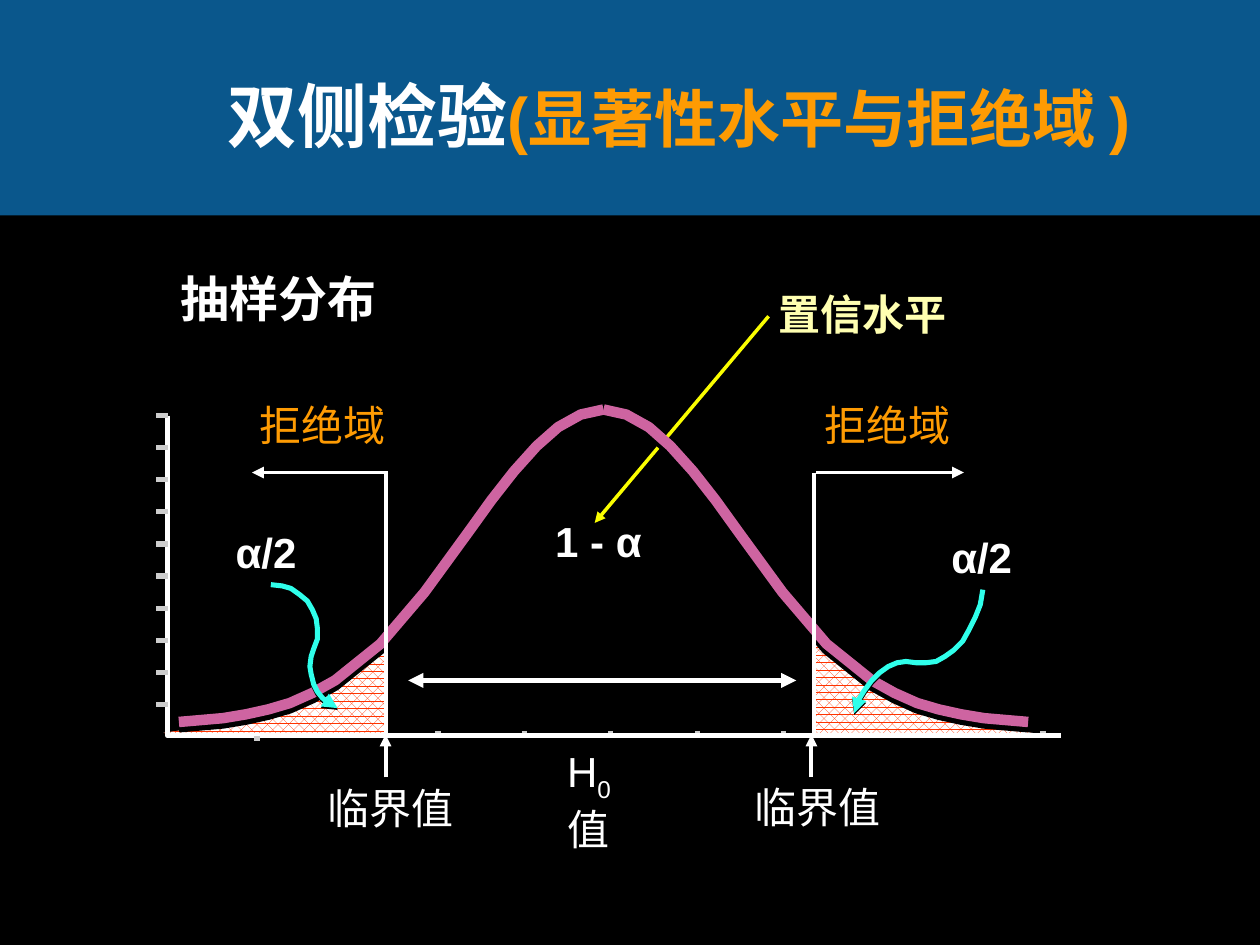
from lxml.etree import SubElement
from pptx import Presentation
from pptx.dml.color import RGBColor
from pptx.enum.dml import MSO_PATTERN as Pattern
from pptx.enum.shapes import MSO_CONNECTOR as Connector, MSO_SHAPE as Shape
from pptx.enum.text import MSO_ANCHOR as Anchor, PP_ALIGN as Align
from pptx.oxml.ns import qn
from pptx.util import Inches, Pt

THEME = {
    "banner": "0A578C", "panel": "000000", "white": "FFFFFF", "orange": "FE9B03",
    "cream": "FFFFB1", "yellow": "FAFD00", "tick": "CDCDCD", "curve": "CE64A1",
    "pointer": "2FFFEB", "hatch": "FF3300",
    "font": "Arial", "title_font": "Vollkorn",
    "title": 40, "subtitle": 36, "heading": 28, "label": 24,
    "thin": 2, "rule": 2.25, "axis": 2.88, "bell": 6,
}

TITLE = [("双侧检验", "title", "white", "title_font"),
         ("(显著性水平与拒绝域 )", "subtitle", "orange", "font")]

LABELS = [
    ("临界值", 5.99, 6.2, 1, "white", False),
    ("临界值", 2.6, 6.21, 1, "white", False),
    ("α/2", 7.55, 4.22, 0.58, "white", True),
    ("α/2", 1.87, 4.18, 0.58, "white", True),
    ("拒绝域", 2.06, 3.17, 1, "orange", False),
    ("拒绝域", 6.54, 3.17, 1, "orange", False),
]
CAPTIONS = [
    ("抽样分布", 0.75, 2.08, 2.92, 0.56, "heading", "white", Align.CENTER),
    ("1 - α", 3.91, 4.04, 1.68, 0.5, "label", "white", Align.CENTER),
    ("置信水平", 6.08, 2.24, 2.26, 0.5, "label", "cream", Align.LEFT),
]
NULL_VALUE = [("H", None), ("0", "-25000"), ("值", None)]

ARROWS = [
    ((3.24, 5.4), (6.32, 5.4), "white", "axis", ("headEnd", "tailEnd")),
    ((6.1, 2.51), (4.72, 4.15), "yellow", "thin", ("tailEnd",)),
    ((3.08, 3.75), (2, 3.75), "white", "rule", ("tailEnd",)),
    ((6.48, 3.75), (7.65, 3.75), "white", "rule", ("tailEnd",)),
    ((3.06, 6.17), (3.06, 5.83), "white", "rule", ("tailEnd",)),
    ((6.44, 6.17), (6.44, 5.83), "white", "rule", ("tailEnd",)),
]
CRITICAL_LINES = [((3.06, 3.75), (3.06, 5.83)), ((6.46, 3.75), (6.46, 5.84))]

REJECTION_AREAS = [
    [(3.05, 5.09), (3.05, 5.82), (1.28, 5.82), (1.48, 5.79), (1.67, 5.75),
     (1.85, 5.7), (2.03, 5.65), (2.19, 5.59), (2.35, 5.53), (2.5, 5.47),
     (2.63, 5.39), (2.76, 5.32), (2.87, 5.25), (2.97, 5.17)],
    [(6.47, 5.02), (6.47, 5.83), (8.28, 5.83), (8.08, 5.8), (7.88, 5.75),
     (7.7, 5.7), (7.52, 5.64), (7.35, 5.58), (7.18, 5.51), (7.04, 5.44),
     (6.9, 5.36), (6.77, 5.28), (6.66, 5.2), (6.56, 5.11)],
]
AXES = [(1.33, 3.3), (1.33, 5.84), (8.42, 5.84)]
MEAN = 4.79
LEFT_BELL = [
    (1.42, 5.73), (1.77, 5.7), (1.95, 5.67), (2.13, 5.63), (2.3, 5.58),
    (2.48, 5.5), (2.66, 5.4), (3.02, 5.11), (3.37, 4.7), (3.72, 4.22),
    (3.9, 3.97), (4.08, 3.74), (4.26, 3.54), (4.43, 3.39), (4.61, 3.29),
    (MEAN, 3.25),
]
RIGHT_BELL = [(2 * MEAN - x, y) for x, y in LEFT_BELL]
POINTERS = [
    [(2.15, 4.64), (2.24, 4.65), (2.31, 4.67), (2.38, 4.72), (2.44, 4.77),
     (2.48, 4.84), (2.51, 4.91), (2.52, 4.99), (2.52, 5.07), (2.49, 5.15),
     (2.47, 5.21), (2.46, 5.29), (2.47, 5.35), (2.49, 5.43), (2.52, 5.49),
     (2.56, 5.54), (2.62, 5.59), (2.68, 5.62)],
    [(7.8, 4.68), (7.78, 4.8), (7.74, 4.9), (7.69, 5), (7.64, 5.09),
     (7.57, 5.16), (7.5, 5.21), (7.43, 5.25), (7.35, 5.26), (7.27, 5.26),
     (7.19, 5.25), (7.12, 5.26), (7.05, 5.29), (6.98, 5.34), (6.92, 5.4),
     (6.86, 5.48), (6.81, 5.56), (6.78, 5.66)],
]
X_TICKS = [((2.79 + i * 0.686, 5.8), (2.79 + i * 0.686, 5.83)) for i in range(9)]
Y_TICKS = [((1.24, 3.3 + i * 0.2544), (1.33, 3.3 + i * 0.2544)) for i in range(10)]
LOW_TICK = ((2.04, 5.84), (2.04, 5.88))


def color(name):
    return RGBColor.from_string(THEME[name])


def apply(target, formats):
    for name, value in formats.items():
        setattr(target, name, value)


def add_run(paragraph, words, size, hue, bold, font="font"):
    run = paragraph.add_run()
    run.text = words
    apply(run.font, {"size": Pt(THEME[size]), "name": THEME[font], "bold": bold})
    run.font.color.rgb = color(hue)
    return run


def add_label(slide, box, wrap, inset=(0, 0), align=Align.LEFT):
    frame = slide.shapes.add_textbox(*map(Inches, box)).text_frame
    side, top = map(Inches, inset)
    apply(frame, {"word_wrap": wrap, "margin_left": side, "margin_right": side,
                  "margin_top": top, "margin_bottom": top})
    frame.paragraphs[0].alignment = align
    return frame.paragraphs[0]


def stroke(part, hue, weight, ends=(), drop=0):
    part.line.color.rgb = color(hue)
    part.line.width = Pt(THEME[weight])
    for end in ends:
        SubElement(part.line._get_or_add_ln(), qn(f"a:{end}"), type="triangle")
    effects = SubElement(part._element.spPr, qn("a:effectLst"))
    if drop:
        shadow = SubElement(effects, qn("a:outerShdw"), dist=str(Pt(drop)),
                            dir="5400000", algn="ctr", rotWithShape="0")
        SubElement(shadow, qn("a:srgbClr"), val=THEME["panel"])


def add_line(slide, start, end, hue, weight, ends=()):
    line = slide.shapes.add_connector(Connector.STRAIGHT, *map(Inches, start + end))
    stroke(line, hue, weight, ends)


def add_outline(slide, points, close=False):
    corners = [(Inches(x), Inches(y)) for x, y in points]
    builder = slide.shapes.build_freeform(*corners[0])
    builder.add_line_segments(corners[1:], close=close)
    return builder.convert_to_shape()


def add_curve(slide, points, hue, weight, ends=(), drop=0):
    curve = add_outline(slide, points)
    curve.fill.background()
    stroke(curve, hue, weight, ends, drop)


def add_title(slide):
    title = slide.shapes.title
    apply(title, {"left": Inches(1.28), "top": Inches(0.25),
                  "width": Inches(8.22), "height": Inches(1.38)})
    title.text_frame.vertical_anchor = Anchor.MIDDLE
    heading = title.text_frame.paragraphs[0]
    apply(heading, {"alignment": Align.CENTER, "line_spacing": 0.95})
    for words, size, hue, font in TITLE:
        add_run(heading, words, size, hue, True, font)


def add_texts(slide):
    for words, left, top, width, height, size, hue, align in CAPTIONS:
        caption = add_label(slide, (left, top, width, height), True, (0.1, 0.05), align)
        add_run(caption, words, size, hue, True)
    for words, left, top, width, hue, bold in LABELS:
        label = add_label(slide, (left, top, width, 0.4), False)
        add_run(label, words, "label", hue, bold)
    null_value = add_label(slide, (4.5, 5.92, 0.65, 0.4), True)
    for words, baseline in NULL_VALUE:
        run = add_run(null_value, words, "label", "white", False)
        if baseline:
            run.font._element.set("baseline", baseline)


def add_diagram(slide):
    for start, end in X_TICKS:
        add_line(slide, start, end, "tick", "axis")
    for arrow in ARROWS:
        add_line(slide, *arrow)
    for points in REJECTION_AREAS:
        area = add_outline(slide, points, close=True)
        area.shadow.inherit = False
        area.line.fill.background()
        area.fill.patterned()
        area.fill.pattern = Pattern.PERCENT_60
        area.fill.fore_color.rgb = color("hatch")
        area.fill.back_color.rgb = color("white")
    add_curve(slide, AXES, "white", "axis")
    for start, end in Y_TICKS + [LOW_TICK]:
        add_line(slide, start, end, "tick", "axis")
    for points in (RIGHT_BELL, LEFT_BELL):
        add_curve(slide, points, "curve", "bell", drop=3)
    for points in POINTERS:
        add_curve(slide, points, "pointer", "axis", ("tailEnd",), drop=1)
    for start, end in CRITICAL_LINES:
        add_line(slide, start, end, "white", "rule")


def main():
    deck = Presentation()
    apply(deck, {"slide_width": Inches(10), "slide_height": Inches(7.5)})
    slide = deck.slides.add_slide(deck.slide_layouts[5])
    slide.background.fill.solid()
    slide.background.fill.fore_color.rgb = color("banner")
    add_title(slide)
    panel = slide.shapes.add_shape(Shape.RECTANGLE, *map(Inches, (0, 1.71, 10, 5.79)))
    panel.shadow.inherit = False
    panel.fill.solid()
    panel.fill.fore_color.rgb = color("panel")
    panel.line.fill.background()
    add_texts(slide)
    add_diagram(slide)
    deck.save("out.pptx")


if __name__ == "__main__":
    main()
